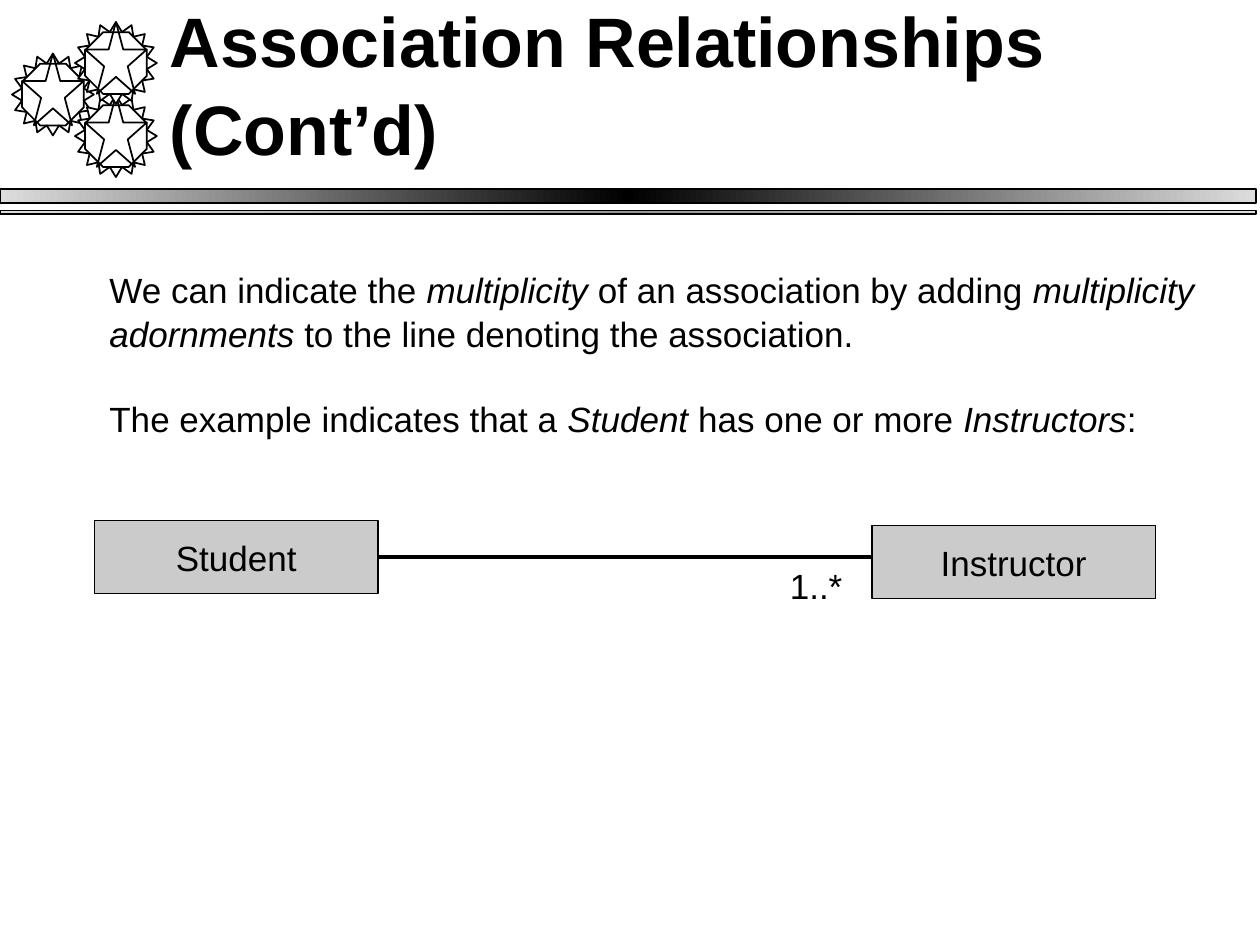
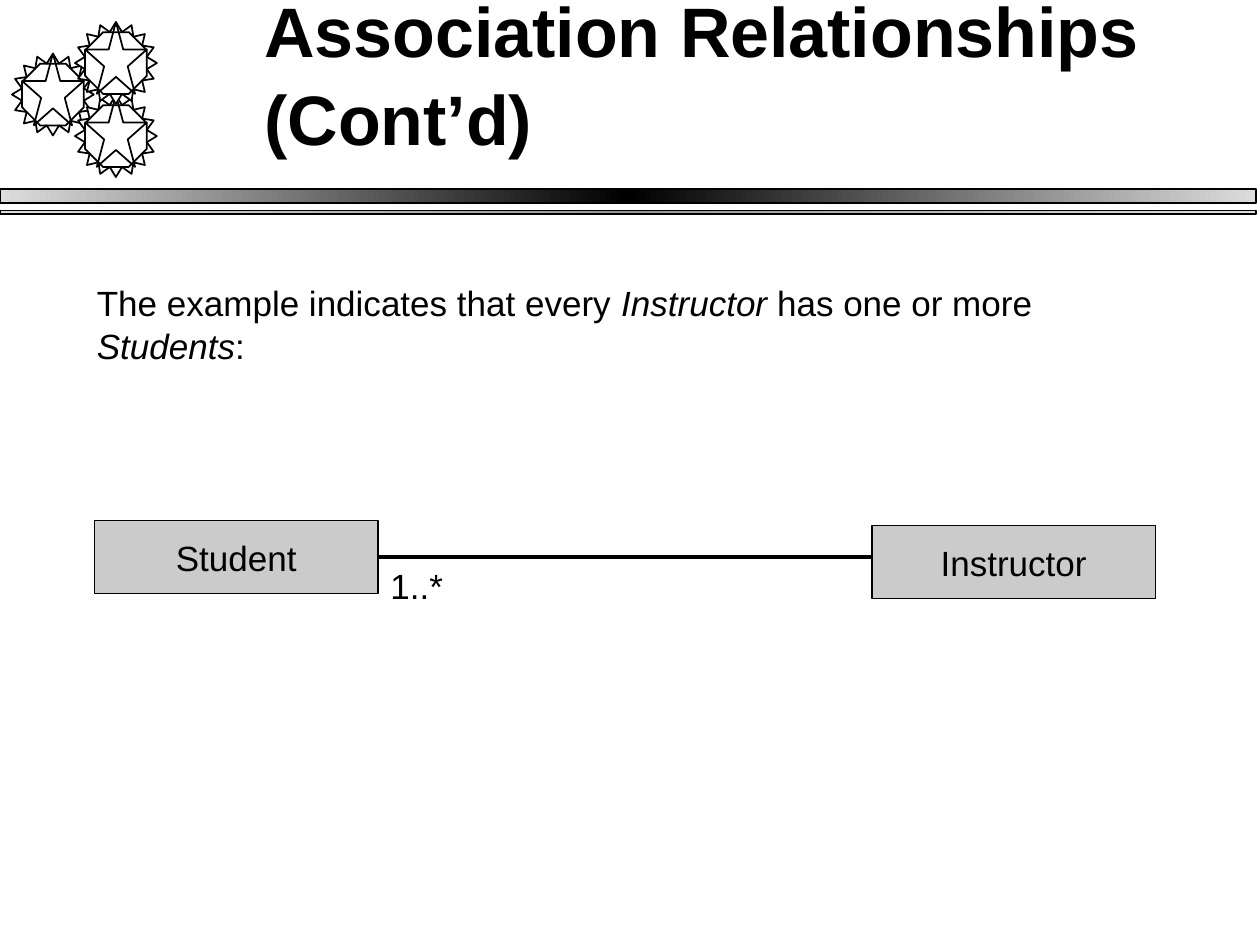
from pptx import Presentation
from pptx.dml.color import RGBColor
from pptx.enum.shapes import MSO_CONNECTOR, MSO_SHAPE as Preset
from pptx.enum.text import MSO_ANCHOR as Anchor, PP_ALIGN as Align
from pptx.oxml import parse_xml
from pptx.oxml.ns import nsdecls, qn
from pptx.util import Emu, Pt

PX = 9144  # 100 px to the inch
BLACK, WHITE, BOX_GREY, BAND_EDGE = "000000", "FFFFFF", "CBCBCB", "DDDDDD"
FONT, LINE_SPACING = "Arial", 1.04
TITLE_SIZE, BODY_SIZE = 40, 20
TITLE = "Association Relationships (Cont’d)"

# Paragraphs are lists of spans; every second span is italic.
SLIDES = [
    {
        "title_at": (125, 36, 892, 58),
        "body_at": (77, 207, 887, 144),
        "body": [
            ["We can indicate the ", "multiplicity", " of an association by adding ",
             "multiplicity adornments", " to the line denoting the association."],
            ["The example indicates that a ", "Student", " has one or more ",
             "Instructors", ":"],
        ],
        "multiplicity_left": 617,
    },
    {
        "title_at": (200, 28, 900, 58),
        "body_at": (67, 217, 887, 77),
        "body": [
            ["The example indicates that every ", "Instructor", " has one or more ",
             "Students", ":"],
        ],
        "multiplicity_left": 300,
    },
]

BANDS = [((0, 150, 997, 11), BLACK), ((0, 167, 997, 3), "969696")]
GEAR_CENTRES = [(42, 75), (92, 108), (92, 50)]
GEAR_SIZE, HUB_SIZE, STAR_HEIGHT = 65, 49, 57
CLASS_BOXES = [("Instructor", 692, 417), ("Student", 75, 413)]
CLASS_SIZE = (225, 58)
LINK_START, LINK_END, LINK_TOP = 300, 700, 442


def color(code):
    return RGBColor.from_string(code)


def emu(*lengths):
    return [Emu(round(length * PX)) for length in lengths]


def add_preset(page, preset, at, fill=None, line_width=1):
    shape = page.shapes.add_shape(preset, *emu(*at))
    shape.shadow.inherit = False
    if fill:
        shape.fill.solid()
        shape.fill.fore_color.rgb = color(fill)
    else:
        shape.fill.background()
    shape.line.color.rgb = color(BLACK)
    shape.line.width = Pt(line_width)
    return shape


def style(para, size=BODY_SIZE, bold=False):
    para.line_spacing = LINE_SPACING
    para.font.name = FONT
    para.font.size = Pt(size)
    para.font.bold = bold
    para.font.color.rgb = color(BLACK)


def add_text(page, at, paragraphs, size=BODY_SIZE, bold=False, gap=0):
    box = page.shapes.add_textbox(*emu(*at))
    frame = box.text_frame
    frame.word_wrap = True
    for index, spans in enumerate(paragraphs):
        para = frame.add_paragraph() if index else frame.paragraphs[0]
        style(para, size, bold)
        if index:
            para.space_before = Pt(gap)
        for number, text in enumerate(spans):
            span = para.add_run()
            span.text = text
            if number % 2:
                span.font.italic = True
    return box


def add_band(page, at, middle):
    band = add_preset(page, Preset.RECTANGLE, at)
    stops = "".join(
        f'<a:gs pos="{position}"><a:srgbClr val="{code}"/></a:gs>'
        for position, code in ((0, BAND_EDGE), (50000, middle), (100000, BAND_EDGE)))
    properties = band.element.spPr
    properties.replace(properties.find(qn("a:noFill")), parse_xml(
        f'<a:gradFill {nsdecls("a")} rotWithShape="1"><a:gsLst>{stops}</a:gsLst>'
        '<a:lin ang="0" scaled="1"/></a:gradFill>'))


def add_gear(page, x, y):
    """Draw a toothed wheel with a star and an octagonal hub around (x, y)."""
    outer, hub = GEAR_SIZE / 2, HUB_SIZE / 2
    wheel = add_preset(page, Preset.STAR_16_POINT,
                       (x - outer, y - outer, GEAR_SIZE, GEAR_SIZE), WHITE)
    wheel.adjustments[0] = 0.385
    add_preset(page, Preset.STAR_5_POINT,
               (x - hub, y - outer, HUB_SIZE, STAR_HEIGHT), WHITE)
    octagon = add_preset(page, Preset.OCTAGON, (x - hub, y - hub, HUB_SIZE, HUB_SIZE))
    octagon.adjustments[0] = 0.293


def add_title(page, at):
    box = add_text(page, at, [[TITLE]], TITLE_SIZE, bold=True)
    box.text_frame.vertical_anchor = Anchor.MIDDLE
    span = box.text_frame.paragraphs[0].runs[0]
    span.font.color.rgb = color(BLACK)
    span.font.fill  # the shadow follows the fill in the run properties
    span.font.color.rgb = color(BLACK)
    fill = span._r.get_or_add_rPr().find(qn("a:solidFill"))
    fill.addnext(parse_xml(
        f'<a:effectLst {nsdecls("a")}><a:outerShdw dist="17961" dir="2700000">'
        '<a:srgbClr val="C0C0C0"/></a:outerShdw></a:effectLst>'))


def add_link(page):
    ends = emu(LINK_START, LINK_TOP, LINK_END, LINK_TOP)
    link = page.shapes.add_connector(MSO_CONNECTOR.STRAIGHT, *ends)
    link.line.color.rgb = color(BLACK)
    link.line.width = Pt(2.25)
    link.element.spPr.append(parse_xml(f'<a:effectLst {nsdecls("a")}/>'))


def add_class_box(page, name, left, top):
    box = add_preset(page, Preset.RECTANGLE, (left, top, *CLASS_SIZE), BOX_GREY, 0.75)
    frame = box.text_frame
    frame.word_wrap = False
    frame.vertical_anchor = Anchor.MIDDLE
    para = frame.paragraphs[0]
    para.text = name
    para.alignment = Align.CENTER
    style(para)


def build_slide(deck, content):
    page = deck.slides.add_slide(deck.slide_layouts[6])
    for at, middle in BANDS:
        add_band(page, at, middle)
    for x, y in GEAR_CENTRES:
        add_gear(page, x, y)
    add_title(page, content["title_at"])
    add_text(page, content["body_at"], content["body"], gap=24)
    add_link(page)
    for name, left, top in CLASS_BOXES:
        add_class_box(page, name, left, top)
    add_text(page, (content["multiplicity_left"], LINK_TOP, 75, 44), [["1..*"]])


def main():
    deck = Presentation()
    deck.slide_width, deck.slide_height = emu(1000, 750)
    for content in SLIDES:
        build_slide(deck, content)
    deck.save("out.pptx")


if __name__ == "__main__":
    main()
